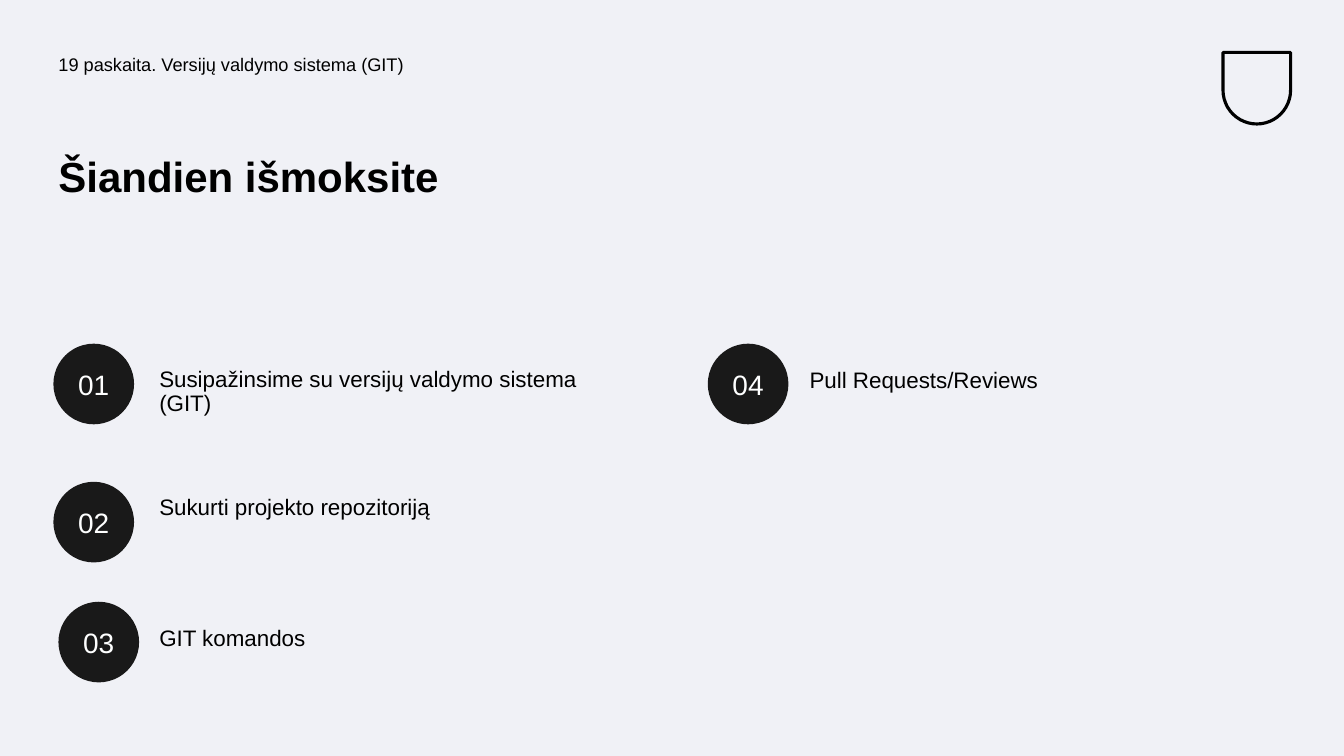
from pptx import Presentation
from pptx.dml.color import RGBColor
from pptx.enum.shapes import MSO_SHAPE
from pptx.enum.text import MSO_ANCHOR, MSO_AUTO_SIZE, PP_ALIGN
from pptx.util import Inches, Pt

# Content
LECTURE = "19 paskaita. Versijų valdymo sistema (GIT)"
HEADING = "Šiandien išmoksite"
# number, circle left, circle top, topic, topic left, topic top, topic height
TOPICS = [
    ("01", 0.53, 3.41, "Susipažinsime su versijų valdymo sistema (GIT)", 1.53, 3.6, 0.57),
    ("02", 0.53, 4.78, "Sukurti projekto repozitoriją", 1.53, 4.87, 0.34),
    ("03", 0.58, 5.97, "GIT komandos", 1.53, 6.17, 0.34),
    ("04", 7.02, 3.41, "Pull Requests/Reviews", 7.98, 3.61, 0.34),
]

# Formats
BACKGROUND = RGBColor(0xF0, 0xF1, 0xF6)
BLACK = RGBColor(0, 0, 0)
CIRCLE = RGBColor(0x19, 0x19, 0x19)
NUMBER = RGBColor(0xFE, 0xFF, 0xFF)
SMALL = {"name": "Arial", "size": Pt(13), "bold": False}
LARGE = {"name": "Arial", "size": Pt(30), "bold": True}
TOPIC = {"name": "Arial", "size": Pt(16), "bold": False}
DIGITS = {"name": "Arial", "size": Pt(20), "bold": False}
DIAMETER = 0.8
TOPIC_WIDTH = 4.63


def write(holder, text, font, color=BLACK, align=PP_ALIGN.LEFT,
          anchor=MSO_ANCHOR.TOP, inset=0.05, spacing=0.9):
    frame = holder.text_frame
    frame_format = {"word_wrap": True, "auto_size": MSO_AUTO_SIZE.NONE,
                    "vertical_anchor": anchor}
    for side in ("left", "top", "right", "bottom"):
        frame_format["margin_" + side] = Inches(inset)
    for key, value in frame_format.items():
        setattr(frame, key, value)
    paragraph = frame.paragraphs[0]
    paragraph.alignment = align
    paragraph.line_spacing = spacing
    run = paragraph.add_run()
    run.text = text
    for key, value in font.items():
        setattr(run.font, key, value)
    run.font.color.rgb = color


def box(left, top, width, height):
    return [Inches(value) for value in (left, top, width, height)]


def main():
    deck = Presentation()
    deck.slide_width, deck.slide_height = Inches(13.33), Inches(7.5)
    slide = deck.slides.add_slide(deck.slide_layouts[5])
    slide.background.fill.solid()
    slide.background.fill.fore_color.rgb = BACKGROUND
    shapes = slide.shapes

    # Heading and lecture name
    heading = shapes.title
    heading.left, heading.top, heading.width, heading.height = box(0.53, 1.5, 5.63, 0.56)
    write(heading, HEADING, LARGE)
    write(shapes.add_textbox(*box(0.53, 0.5, 6.14, 0.3)), LECTURE, SMALL)

    # Plain shield in the corner
    shield = shapes.add_shape(MSO_SHAPE.ROUND_2_SAME_RECTANGLE, *box(12.13, 0.52, 0.67, 0.71))
    shield.adjustments[0] = 0.5
    shield.rotation = 180
    shield.shadow.inherit = False
    shield.fill.background()
    shield.line.color.rgb = BLACK
    shield.line.width = Pt(2.25)

    # Numbered topics
    for number, left, top, topic, topic_left, topic_top, topic_height in TOPICS:
        circle = shapes.add_shape(MSO_SHAPE.OVAL, *box(left, top, DIAMETER, DIAMETER))
        circle.shadow.inherit = False
        circle.fill.solid()
        circle.fill.fore_color.rgb = CIRCLE
        circle.line.fill.background()
        write(circle, number, DIGITS, NUMBER, PP_ALIGN.CENTER, MSO_ANCHOR.MIDDLE, 0, 1.0)
        topic_box = shapes.add_textbox(*box(topic_left, topic_top, TOPIC_WIDTH, topic_height))
        write(topic_box, topic, TOPIC)

    deck.save("out.pptx")


if __name__ == "__main__":
    main()
